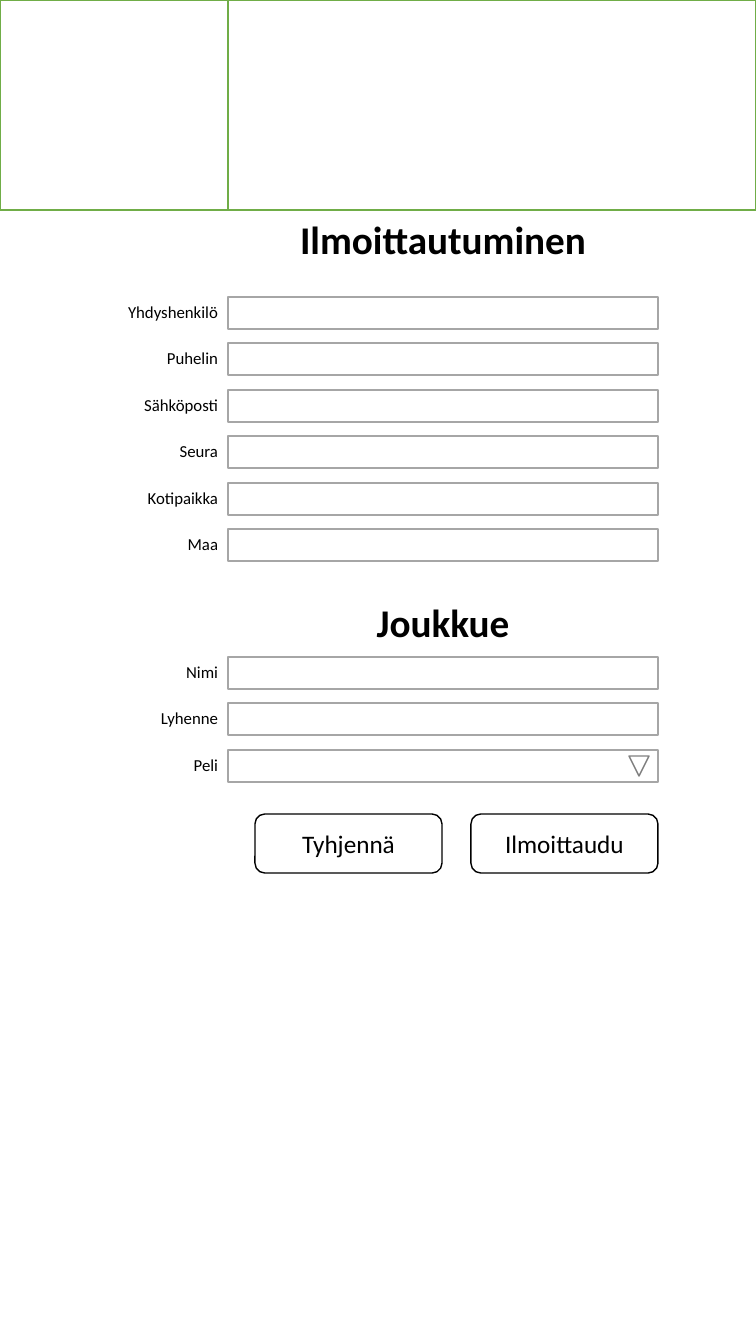
from pptx import Presentation
from pptx.dml.color import RGBColor
from pptx.enum.shapes import MSO_SHAPE as Shape
from pptx.enum.text import MSO_ANCHOR as Anchor, PP_ALIGN as Align
from pptx.util import Pt

SECTIONS = [
    {"title": "Ilmoittautuminen", "title_top": 210, "fields_top": 297,
     "fields": ["Yhdyshenkilö", "Puhelin", "Sähköposti", "Seura", "Kotipaikka", "Maa"]},
    {"title": "Joukkue", "title_top": 593, "fields_top": 657,
     "fields": ["Nimi", "Lyhenne", "Peli"]},
]
BUTTONS = ["Tyhjennä", "Ilmoittaudu"]

COLORS = {"white": "FFFFFF", "black": "000000", "green": "70AD47",
          "field": "A6A6A6", "arrow": "808080"}
FONT = "Calibri"
PIXEL = 914400 / 100.8

PAGE_WIDTH, PAGE_HEIGHT = 756, 1344
HEADER_HEIGHT = 210
FORM_LEFT, FORM_WIDTH = 228, 430
FORM_RIGHT = FORM_LEFT + FORM_WIDTH
FIELD_HEIGHT, FIELD_PITCH = 32, 46.4
LABEL_LEFT, LABEL_HEIGHT = 52, 30
TITLE_HEIGHT = 58
ARROW_SIZE, ARROW_INSET = 20, 9
BUTTON_TOP, BUTTON_WIDTH, BUTTON_HEIGHT, BUTTON_GAP = 814, 187, 59, 29


def emu(*pixels):
    return [round(value * PIXEL) for value in pixels]


def color(name):
    return RGBColor.from_string(COLORS[name])


def write(box, text, size, align=Align.CENTER, bold=False, anchor=Anchor.TOP):
    frame = box.text_frame
    frame.word_wrap = True
    frame.vertical_anchor = anchor
    para = frame.paragraphs[0]
    para.alignment = align
    span = para.add_run()
    span.text = text
    span.font.name = FONT
    span.font.size = Pt(size)
    span.font.bold = bold
    span.font.color.rgb = color("black")


def add_text(place, text, size, **style):
    write(page.shapes.add_textbox(*emu(*place)), text, size, **style)


def add_outline(kind, place, line):
    box = page.shapes.add_shape(kind, *emu(*place))
    box.shadow.inherit = False
    box.fill.solid()
    box.fill.fore_color.rgb = color("white")
    box.line.color.rgb = color(line)
    box.line.width = Pt(1)
    return box


deck = Presentation()
deck.slide_width, deck.slide_height = emu(PAGE_WIDTH, PAGE_HEIGHT)
page = deck.slides.add_slide(deck.slide_layouts[6])

for left, right in [(0, FORM_LEFT), (FORM_LEFT, PAGE_WIDTH)]:
    add_outline(Shape.RECTANGLE, (left, 0, right - left, HEADER_HEIGHT), "green")

for section in SECTIONS:
    add_text((FORM_LEFT, section["title_top"], FORM_WIDTH, TITLE_HEIGHT),
             section["title"], 28, bold=True)
    for index, label in enumerate(section["fields"]):
        field_top = section["fields_top"] + round(index * FIELD_PITCH)
        add_outline(Shape.RECTANGLE,
                    (FORM_LEFT, field_top, FORM_WIDTH, FIELD_HEIGHT), "field")
        add_text((LABEL_LEFT, field_top, FORM_LEFT - LABEL_LEFT, LABEL_HEIGHT),
                 label, 12, align=Align.RIGHT)

arrow_left = FORM_RIGHT - ARROW_INSET - ARROW_SIZE
arrow_top = field_top + (FIELD_HEIGHT - ARROW_SIZE) // 2
arrow = add_outline(Shape.ISOSCELES_TRIANGLE,
                    (arrow_left, arrow_top, ARROW_SIZE, ARROW_SIZE), "arrow")
arrow.rotation = 180

for index, text in enumerate(reversed(BUTTONS)):
    left = FORM_RIGHT - BUTTON_WIDTH - index * (BUTTON_WIDTH + BUTTON_GAP)
    button = add_outline(Shape.ROUNDED_RECTANGLE,
                         (left, BUTTON_TOP, BUTTON_WIDTH, BUTTON_HEIGHT), "black")
    write(button, text, 18, anchor=Anchor.MIDDLE)

deck.save("out.pptx")
